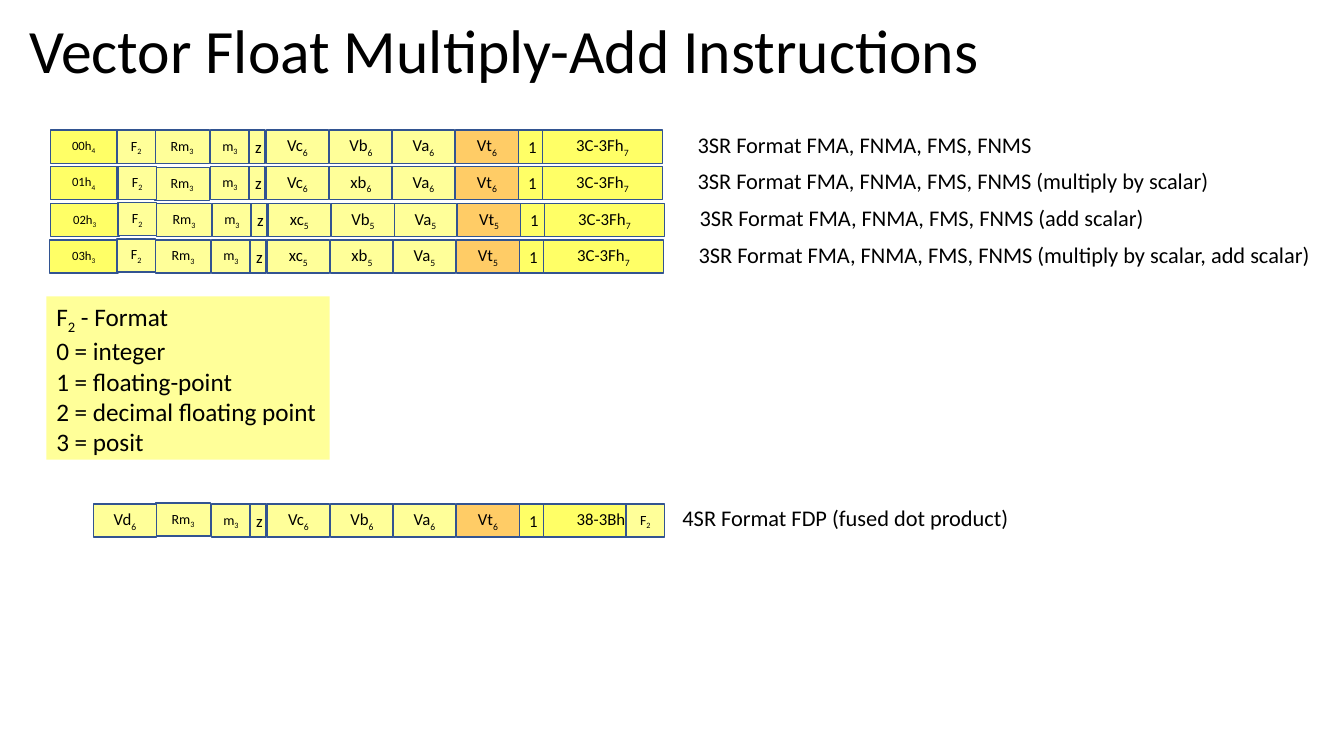
from dataclasses import dataclass

from pptx import Presentation
from pptx.dml.color import RGBColor
from pptx.enum.shapes import MSO_SHAPE
from pptx.enum.text import MSO_ANCHOR, MSO_AUTO_SIZE, PP_ALIGN
from pptx.shapes.autoshape import Shape
from pptx.slide import Slide
from pptx.text.text import TextFrame
from pptx.util import Inches, Pt

BLACK = RGBColor(0x00, 0x00, 0x00)
BLUE = RGBColor(0x32, 0x54, 0x91)
YELLOW = RGBColor(0xFF, 0xFF, 0x66)
PALE_YELLOW = RGBColor(0xFF, 0xFF, 0x99)
ORANGE = RGBColor(0xFF, 0xCC, 0x66)
FONT = "Calibri"
FIELD_HEIGHT = 0.33
FORMAT_FIELD = "F_2"


@dataclass(frozen=True)
class Column:
    left: float
    width: float
    size: int
    fill: RGBColor


@dataclass(frozen=True)
class Field:
    text: str
    left: float
    top: float
    width: float
    size: int
    fill: RGBColor = PALE_YELLOW


@dataclass(frozen=True)
class Instruction:
    top: float
    shift: float
    rounding_top: float
    operands: tuple[str, str, str, str]
    opcode: str
    ends: tuple[Field, ...]


@dataclass(frozen=True)
class Caption:
    text: str
    left: float
    top: float
    width: float
    wrap: bool = False


ROUNDING = Column(1.53, 0.55, 10, PALE_YELLOW)
COLUMNS = (
    Column(2.09, 0.38, 10, PALE_YELLOW),
    Column(2.46, 0.17, 12, PALE_YELLOW),
    Column(2.64, 0.62, 12, PALE_YELLOW),
    Column(3.27, 0.62, 12, PALE_YELLOW),
    Column(3.89, 0.62, 12, PALE_YELLOW),
    Column(4.52, 0.62, 12, ORANGE),
    Column(5.14, 0.24, 12, YELLOW),
    Column(5.38, 1.19, 12, YELLOW),
)

INSTRUCTIONS = (
    Instruction(1.29, 0, 1.29, ("Vc_6", "Vb_6", "Va_6", "Vt_6"), "3C-3Fh_7", (
        Field("00h_4", 0.5, 1.29, 0.66, 9, YELLOW),
        Field(FORMAT_FIELD, 1.16, 1.29, 0.38, 10))),
    Instruction(1.65, 0, 1.66, ("Vc_6", "xb_6", "Va_6", "Vt_6"), "3C-3Fh_7", (
        Field("01h_4", 0.5, 1.65, 0.66, 9, YELLOW),
        Field(FORMAT_FIELD, 1.17, 1.65, 0.38, 10))),
    Instruction(2.02, 0.02, 2.02, ("xc_5", "Vb_5", "Va_5", "Vt_5"), "3C-3Fh_7", (
        Field("02h_3", 0.5, 2.02, 0.68, 9, YELLOW),
        Field(FORMAT_FIELD, 1.17, 2.01, 0.38, 10))),
    Instruction(2.38, 0.01, 2.38, ("xc_5", "xb_5", "Va_5", "Vt_5"), "3C-3Fh_7", (
        Field("03h_3", 0.49, 2.38, 0.68, 9, YELLOW),
        Field(FORMAT_FIELD, 1.16, 2.37, 0.38, 10))),
    Instruction(5, 0.01, 4.99, ("Vc_6", "Vb_6", "Va_6", "Vt_6"), "38-3Bh_7", (
        Field(FORMAT_FIELD, 6.21, 5, 0.38, 10),
        Field("Vd_6", 0.93, 5, 0.62, 12))),
)

CAPTIONS = (
    Caption("3SR Format FMA, FNMA, FMS, FNMS", 6.82, 1.25, 3.56),
    Caption("3SR Format FMA, FNMA, FMS, FNMS (multiply by scalar)", 6.82, 1.61, 5.34),
    Caption("3SR Format FMA, FNMA, FMS, FNMS (add scalar)", 6.84, 1.98, 4.66),
    Caption("3SR Format FMA, FNMA, FMS, FNMS (multiply by scalar, add scalar)",
            6.83, 2.34, 6.72, True),
    Caption("4SR Format FDP (fused dot product)", 6.67, 4.95, 5.98, True),
)

FORMAT_LEGEND = (
    "F_2_ - Format",
    "0 = integer",
    "1 = floating-point",
    "2 = decimal floating point",
    "3 = posit",
)


def write_lines(frame: TextFrame, lines: tuple[str, ...], size: int,
                align: PP_ALIGN = PP_ALIGN.LEFT) -> None:
    for number, line in enumerate(lines):
        paragraph = frame.add_paragraph() if number else frame.paragraphs[0]
        paragraph.alignment = align
        for position, part in enumerate(line.split("_")):
            run = paragraph.add_run()
            run.text = part
            run.font.size = Pt(size)
            run.font.name = FONT
            run.font.color.rgb = BLACK
            if position % 2:
                run._r.get_or_add_rPr().set("baseline", "-25000")


def add_box(slide: Slide, left: float, top: float, width: float, height: float,
            fill: RGBColor) -> Shape:
    box = slide.shapes.add_shape(MSO_SHAPE.RECTANGLE, Inches(left), Inches(top),
                                 Inches(width), Inches(height))
    box.shadow.inherit = False
    box.fill.solid()
    box.fill.fore_color.rgb = fill
    return box


def add_field(slide: Slide, field: Field) -> None:
    box = add_box(slide, field.left, field.top, field.width, FIELD_HEIGHT, field.fill)
    box.line.color.rgb = BLUE
    box.line.width = Pt(1)
    box.text_frame.vertical_anchor = MSO_ANCHOR.MIDDLE
    write_lines(box.text_frame, (field.text,), field.size, PP_ALIGN.CENTER)


def add_instruction(slide: Slide, row: Instruction) -> None:
    texts = ("m_3", "z", *row.operands, "1", row.opcode)
    for column, text in reversed(tuple(zip(COLUMNS, texts))):
        add_field(slide, Field(text, column.left + row.shift, row.top,
                               column.width, column.size, column.fill))
    add_field(slide, Field("Rm_3", ROUNDING.left + row.shift, row.rounding_top,
                           ROUNDING.width, ROUNDING.size, ROUNDING.fill))
    for field in row.ends:
        add_field(slide, field)


def add_caption(slide: Slide, caption: Caption) -> None:
    box = slide.shapes.add_textbox(Inches(caption.left), Inches(caption.top),
                                   Inches(caption.width), Inches(0.37))
    box.text_frame.word_wrap = caption.wrap
    box.text_frame.auto_size = MSO_AUTO_SIZE.SHAPE_TO_FIT_TEXT
    write_lines(box.text_frame, (caption.text,), 16)


def add_legend(slide: Slide) -> None:
    legend = add_box(slide, 0.46, 2.94, 2.81, 1.62, PALE_YELLOW)
    legend.line.fill.background()
    frame = legend.text_frame
    frame.word_wrap = False
    frame.auto_size = MSO_AUTO_SIZE.SHAPE_TO_FIT_TEXT
    frame.vertical_anchor = MSO_ANCHOR.TOP
    write_lines(frame, FORMAT_LEGEND, 18)


def set_title(slide: Slide) -> None:
    title = slide.shapes.title
    title.left, title.top = Inches(0.19), Inches(0.13)
    title.width, title.height = Inches(11.5), Inches(0.81)
    frame = title.text_frame
    frame.auto_size = MSO_AUTO_SIZE.NONE
    frame.vertical_anchor = MSO_ANCHOR.MIDDLE
    write_lines(frame, ("Vector Float Multiply-Add Instructions",), 44)
    frame.paragraphs[0].line_spacing = 0.9


def main() -> None:
    deck = Presentation()
    deck.slide_width, deck.slide_height = Inches(13.33), Inches(7.5)
    slide = deck.slides.add_slide(deck.slide_layouts[5])
    set_title(slide)
    for row in INSTRUCTIONS:
        add_instruction(slide, row)
    for caption in CAPTIONS:
        add_caption(slide, caption)
    add_legend(slide)
    deck.save("out.pptx")


if __name__ == "__main__":
    main()
